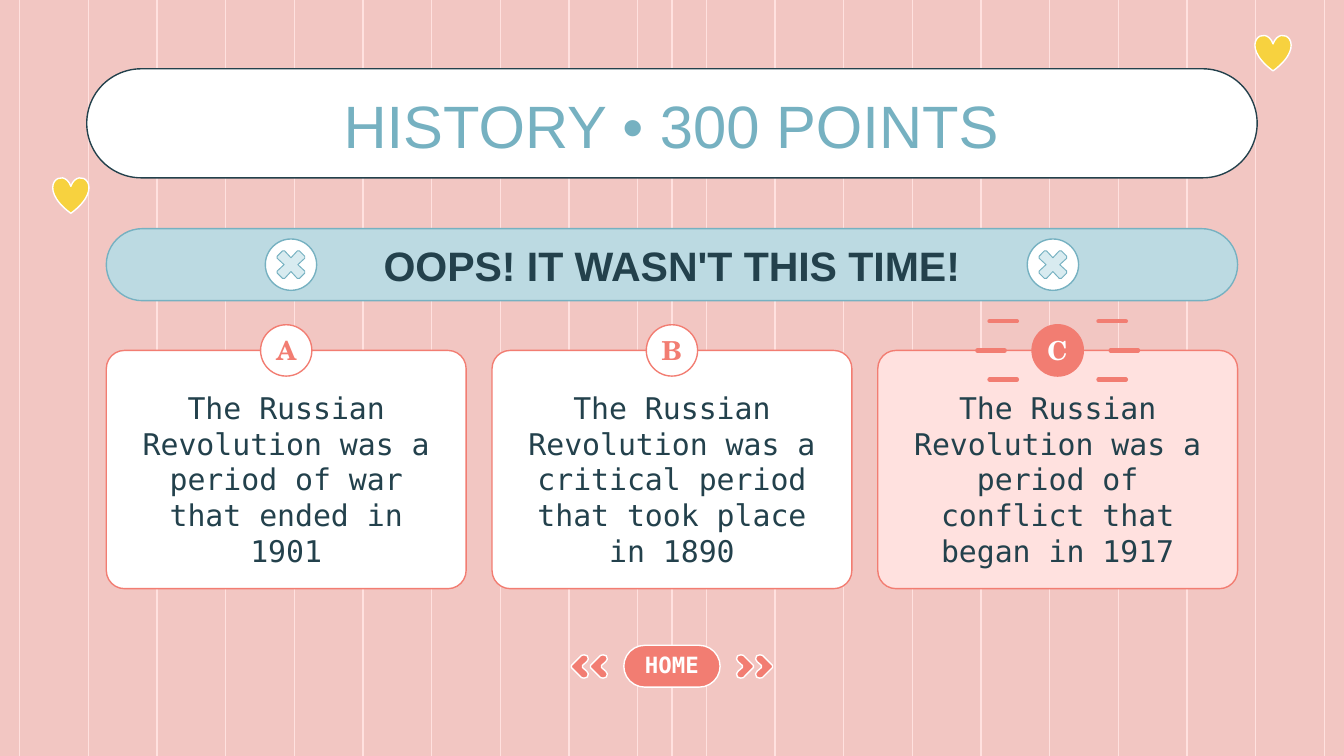
from lxml import etree
from pptx import Presentation, util as u
from pptx.dml.color import RGBColor
from pptx.enum import shapes, text
from pptx.oxml import ns

Cm = u.Cm
SHAPE = shapes.MSO_SHAPE
COLORS = {
    "background": "F2C6C2", "blush": "FFE1DF", "white": "FFFFFF", "ink": "23414C",
    "coral": "F27D72", "yellow": "F7D23F", "teal": "76B1C1", "sky": "BCDAE2", "ice": "D8EBF0",
}
SANS, MONO, SERIF = "Arial", "DejaVu Sans Mono", "TeX Gyre Schola"
WIDTH, HEIGHT = 25.4, 14.28
CENTER = WIDTH / 2

CARD_LEFT, CARD_TOP, CARD_WIDTH, CARD_HEIGHT, CARD_STEP = 2.01, 6.62, 6.8, 4.5, 7.29
DISC = 0.97
ANSWERS = [
    ("A", "The Russian Revolution was a period of war that ended in 1901", False),
    ("B", "The Russian Revolution was a critical period that took place in 1890", False),
    ("C", "The Russian Revolution was a period of conflict that began in 1917", True),
]
CROSS_ARM = [(0.13, 0), (0.26, 0.12), (0.26, 0.16), (0.16, 0.26), (0.12, 0.26)]
CHEVRON_TOP = [(0.34, -0.02), (0.15, -0.21), (0.1, -0.22), (0.04, -0.2),
               (0.02, -0.14), (0.05, -0.09), (0.13, -0.02)]


def rgb(name):
    return RGBColor.from_string(COLORS[name])


def paint(shape, fill, line, weight=0.75):
    shape.shadow.inherit = False
    shape.fill.solid()
    shape.fill.fore_color.rgb = rgb(fill)
    shape.line.color.rgb = rgb(line)
    shape.line.width = u.Pt(weight)


def add_box(page, kind, left, top, width, height, fill, line, radius=None):
    box = page.shapes.add_shape(kind, Cm(left), Cm(top), Cm(width), Cm(height))
    paint(box, fill, line)
    if radius is not None:
        box.adjustments[0] = radius
    return box


def add_disc(page, x, y, fill, line):
    return add_box(page, SHAPE.OVAL, x - DISC / 2, y - DISC / 2, DISC, DISC, fill, line)


def write(box, words, font, size, color, bold=False, insets=(0.25, 0.25, 0.25, 0.25),
          anchor=text.MSO_ANCHOR.MIDDLE):
    frame = box.text_frame
    frame.text = words
    frame.word_wrap = True
    frame.auto_size = text.MSO_AUTO_SIZE.NONE
    frame.vertical_anchor = anchor
    (frame.margin_left, frame.margin_top,
     frame.margin_right, frame.margin_bottom) = map(Cm, insets)
    para = frame.paragraphs[0]
    para.alignment = text.PP_ALIGN.CENTER
    for span in para.runs:
        span.font.name = font
        span.font.size = u.Pt(size)
        span.font.bold = bold
        span.font.color.rgb = rgb(color)


def add_line(page, x1, y1, x2, y2, color, weight, round_cap=False):
    line = page.shapes.add_connector(
        shapes.MSO_CONNECTOR.STRAIGHT, Cm(x1), Cm(y1), Cm(x2), Cm(y2))
    line.line.color.rgb = rgb(color)
    line.line.width = u.Pt(weight)
    if round_cap:
        line.line._get_or_add_ln().set("cap", "rnd")
    etree.SubElement(line.element.spPr, ns.qn("a:effectLst"))


def add_outline(page, points, fill, line, weight=0.75):
    corners = [(Cm(x), Cm(y)) for x, y in points]
    builder = page.shapes.build_freeform(*corners[0])
    builder.add_line_segments(corners[1:], close=True)
    paint(builder.convert_to_shape(), fill, line, weight)


def add_backdrop(page):
    page.background.fill.solid()
    page.background.fill.fore_color.rgb = rgb("background")
    first, count = 0.37, 20
    step = (WIDTH - 2 * first) / (count - 1)
    for x in [CENTER] + [first + step * i for i in range(count)]:
        add_line(page, x, 0, x, HEIGHT, "blush", 0.75)


def add_title(page):
    add_box(page, SHAPE.ROUNDED_RECTANGLE, 1.64, 1.3, 22.12, 2.06, "white", "ink")
    page.shapes[-1].adjustments[0] = 0.5
    for left, top in [(1, 3.35), (23.72, 0.66)]:
        add_box(page, SHAPE.HEART, left, top, 0.68, 0.68, "yellow", "white")
    title = page.shapes.title
    title.left, title.top, title.width, title.height = Cm(3.33), Cm(1.42), Cm(18.72), Cm(1.65)
    write(title, "HISTORY • 300 POINTS", SANS, 32, "teal", anchor=text.MSO_ANCHOR.TOP)
    page.shapes.element.append(title.element)


def add_answer(page, index, letter, words, chosen):
    left = CARD_LEFT + CARD_STEP * index
    middle = left + CARD_WIDTH / 2
    card = add_box(page, SHAPE.ROUNDED_RECTANGLE, left, CARD_TOP, CARD_WIDTH, CARD_HEIGHT,
                   "blush" if chosen else "white", "coral", 0.076)
    write(card, words, MONO, 16, "ink", insets=(0.3, 0.61, 0.3, 0.25))
    badge = add_disc(page, middle, CARD_TOP, "coral" if chosen else "white", "coral")
    write(badge, letter, SERIF, 14, "white" if chosen else "coral", True, (0, 0.25, 0, 0.25))
    if chosen:
        add_rays(page, middle, CARD_TOP)


def add_rays(page, x, y):
    for side in (-1, 1):
        for near, rise in [(0.77, -0.55), (1, 0), (0.77, 0.55)]:
            add_line(page, x + side * near, y + rise, x + side * (near + 0.52), y + rise,
                     "coral", 2.25, round_cap=True)


def add_cross_mark(page, x, y):
    add_disc(page, x, y, "white", "teal")
    points, arm = [], CROSS_ARM
    for _ in range(4):
        points += arm
        arm = [(-dy, dx) for dx, dy in arm]
    add_outline(page, [(x + dx, y + dy) for dx, dy in points], "ice", "teal", 0.5)


def add_banner(page):
    banner = add_box(page, SHAPE.ROUNDED_RECTANGLE, 2.01, 4.32, 21.38, 1.36, "sky", "teal", 0.5)
    write(banner, "OOPS! IT WASN'T THIS TIME!", SANS, 22, "ink", True, (0.76, 0.25, 0.76, 0.25))
    for x in (5.5, 19.9):
        add_cross_mark(page, x, 5)


def add_navigation(page):
    home = add_box(page, SHAPE.ROUNDED_RECTANGLE, 11.79, 12.19, 1.82, 0.79,
                   "coral", "white", 0.5)
    write(home, "HOME", MONO, 12, "white", True, (0.25, 0.2, 0.25, 0.25))
    chevron = CHEVRON_TOP + [(dx, -dy) for dx, dy in reversed(CHEVRON_TOP)]
    for side in (1, -1):
        for start in (1.2, 1.56):
            add_outline(page, [(CENTER + side * (start + dx), 12.59 + dy) for dx, dy in chevron],
                        "coral", "white")


def main():
    deck = Presentation()
    deck.slide_width, deck.slide_height = Cm(WIDTH), Cm(HEIGHT)
    page = deck.slides.add_slide(deck.slide_layouts.get_by_name("Title Only"))
    add_backdrop(page)
    add_title(page)
    for index, answer in enumerate(ANSWERS):
        add_answer(page, index, *answer)
    add_banner(page)
    add_navigation(page)
    deck.save("out.pptx")


if __name__ == "__main__":
    main()
